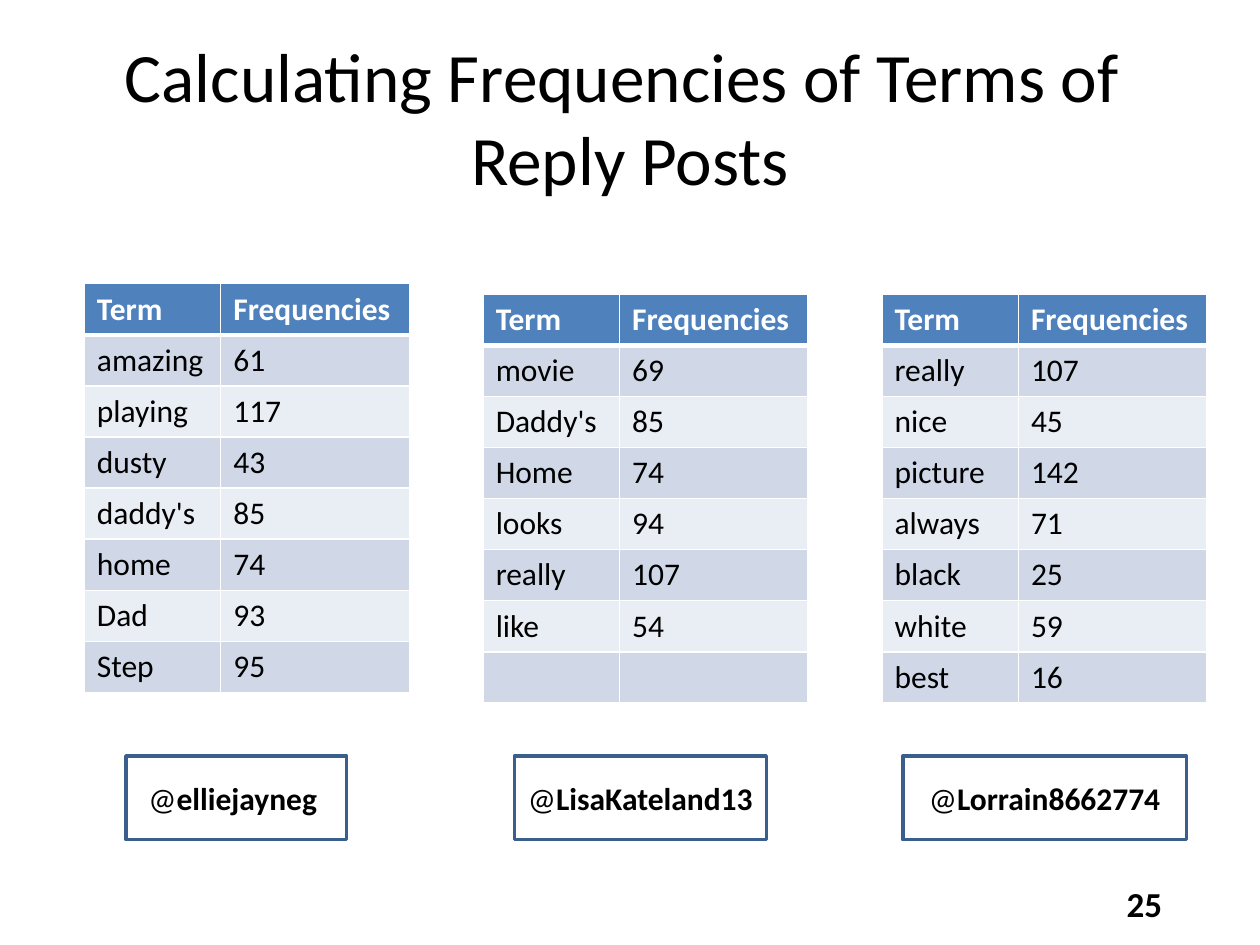
from lxml import etree
from pptx import Presentation
from pptx.dml.color import RGBColor
from pptx.enum.shapes import MSO_SHAPE
from pptx.enum.text import MSO_ANCHOR, PP_ALIGN
from pptx.oxml.ns import qn
from pptx.util import Cm, Pt

RECTANGLE = MSO_SHAPE.RECTANGLE
CENTER = PP_ALIGN.CENTER
MIDDLE = MSO_ANCHOR.MIDDLE
WHITE, BLACK, HEADER, FRAME = "FFFFFF", "000000", "4F81BD", "3A5F8C"
BANDS = ["D0D8E8", "E9EDF4"]
HEADINGS = ("Term", "Frequencies")
COLUMN_WIDTHS = [2.75, 3.8]
ROW_HEIGHT = 1.03


def color(value):
    return RGBColor.from_string(value)


def add_span(para, text, size, bold=False, ink=BLACK):
    span = para.add_run()
    span.text = text
    formats = {"name": "Calibri", "size": Pt(size), "bold": bold}
    for name, value in formats.items():
        setattr(span.font, name, value)
    span.font.color.rgb = color(ink)


deck = Presentation()
deck.slide_width, deck.slide_height = Cm(25.4), Cm(19.05)
page = deck.slides.add_slide(deck.slide_layouts[6])

# Title
title = page.shapes.add_textbox(Cm(1.27), Cm(0.76), Cm(22.86), Cm(3.18)).text_frame
title.word_wrap = True
title.vertical_anchor = MIDDLE
para = title.paragraphs[0]
para.alignment = CENTER
add_span(para, "Calculating Frequencies of Terms of ", 39.6)
para.add_line_break()
add_span(para, "Reply Posts", 39.6)

# Term frequency tables: left, top, rows
term_tables = [
    (1.7, 5.72, [("amazing", 61), ("playing", 117), ("dusty", 43), ("daddy's", 85),
                 ("home", 74), ("Dad", 93), ("Step", 95)]),
    (9.74, 5.93, [("movie", 69), ("Daddy's", 85), ("Home", 74), ("looks", 94),
                  ("really", 107), ("like", 54), ("", "")]),
    (17.78, 5.93, [("really", 107), ("nice", 45), ("picture", 142), ("always", 71),
                   ("black", 25), ("white", 59), ("best", 16)]),
]
for left, top, terms in term_tables:
    rows = [HEADINGS] + terms
    table = page.shapes.add_table(
        len(rows), len(HEADINGS), Cm(left), Cm(top),
        Cm(sum(COLUMN_WIDTHS)), Cm(ROW_HEIGHT * len(rows))).table
    for column, width in zip(table.columns, COLUMN_WIDTHS):
        column.width = Cm(width)
    for row_index, row in enumerate(rows):
        table.rows[row_index].height = Cm(ROW_HEIGHT)
        is_header = row_index == 0
        for column_index, value in enumerate(row):
            cell = table.cell(row_index, column_index)
            cell.fill.solid()
            cell.fill.fore_color.rgb = color(
                HEADER if is_header else BANDS[(row_index - 1) % 2])
            if value != "":
                add_span(cell.text_frame.paragraphs[0], str(value), 18,
                         is_header, WHITE if is_header else BLACK)
            # Borders must precede the fill in the cell properties
            borders = {"a:lnL": 1, "a:lnR": 1,
                       "a:lnT": 3 if row_index == 1 else 1,
                       "a:lnB": 3 if is_header else 1}
            properties = cell._tc.get_or_add_tcPr()
            for position, (tag, width) in enumerate(borders.items()):
                border = etree.Element(qn(tag), w=str(Pt(width)))
                solid = etree.SubElement(border, qn("a:solidFill"))
                etree.SubElement(solid, qn("a:srgbClr"), val=WHITE)
                properties.insert(position, border)

# Account labels and page number: left, top, width, line, spans (text, size, bold)
boxes = [
    (2.54, 15.24, 4.45, FRAME, [("@", 18, False), ("elliejayneg ", 18, True)]),
    (10.37, 15.24, 5.08, FRAME, [("@", 18, False), ("LisaKateland13", 18, True)]),
    (18.2, 15.24, 5.72, FRAME, [("@", 18, False), ("Lorrain8662774", 18, True)]),
    (21.8, 17.36, 2.54, WHITE, [("25", 20, True)]),
]
for left, top, width, line, spans in boxes:
    box = page.shapes.add_shape(RECTANGLE, Cm(left), Cm(top), Cm(width), Cm(1.69))
    box.shadow.inherit = False
    box.fill.solid()
    box.fill.fore_color.rgb = color(WHITE)
    box.line.color.rgb = color(line)
    box.line.width = Pt(2)
    box.text_frame.word_wrap = True
    box.text_frame.vertical_anchor = MIDDLE
    para = box.text_frame.paragraphs[0]
    para.alignment = CENTER
    for text, size, bold in spans:
        add_span(para, text, size, bold)

deck.save("out.pptx")
